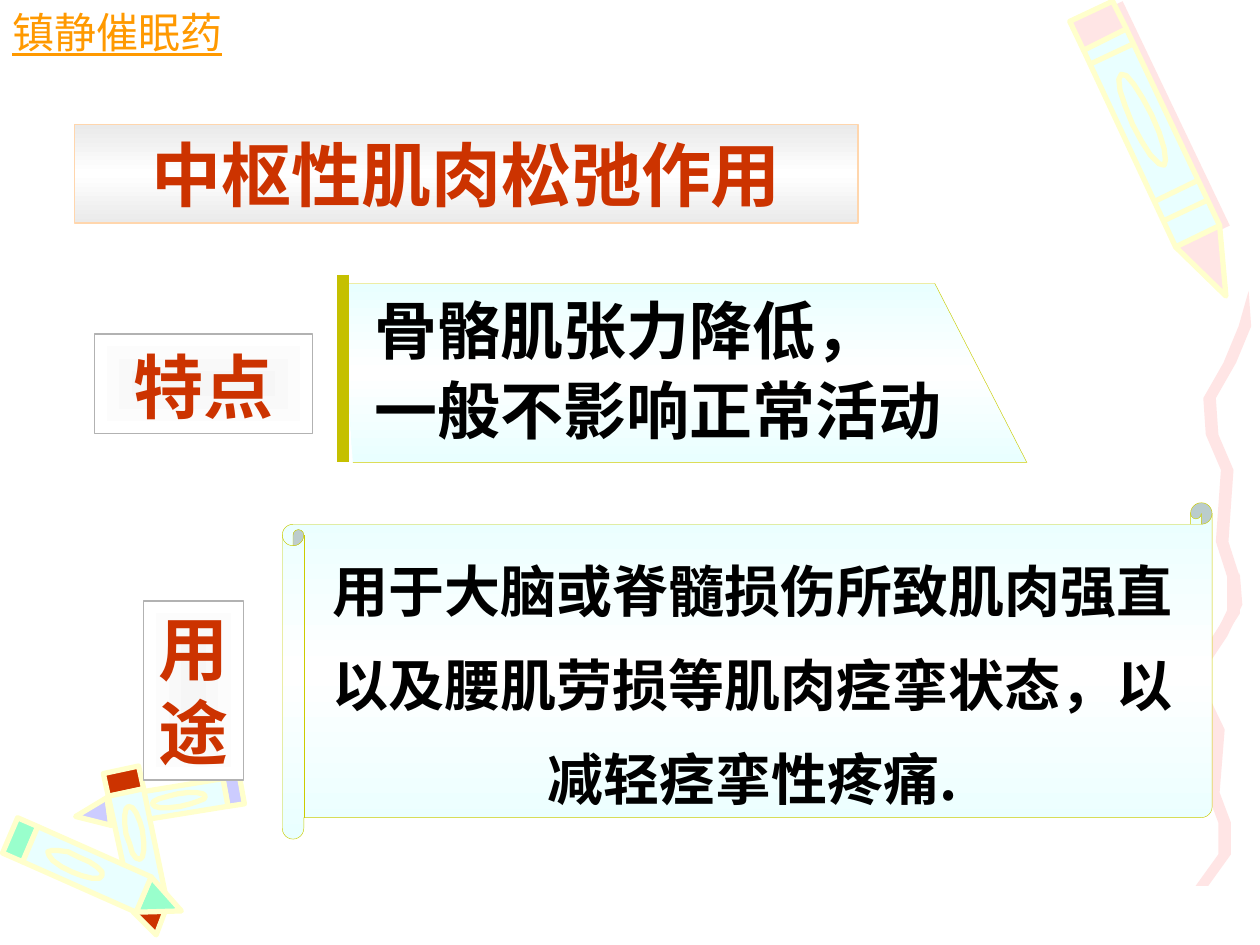
from dataclasses import dataclass
from math import cos, hypot, pi, sin
from typing import Optional

from lxml.etree import SubElement
from pptx import Presentation
from pptx.dml.color import RGBColor
from pptx.enum.shapes import MSO_CONNECTOR as Connector, MSO_SHAPE as Preset
from pptx.enum.text import MSO_ANCHOR as Anchor, PP_ALIGN as Align
from pptx.oxml import parse_xml
from pptx.oxml.ns import nsdecls, qn
from pptx.util import Pt

EMU_PER_PX = 9144
SANS = "Noto Sans CJK SC"
MONO = "Courier New"

BLACK = RGBColor(0x00, 0x00, 0x00)
WHITE = RGBColor(0xFF, 0xFF, 0xFF)
RED = RGBColor(0xCC, 0x33, 0x00)
ORANGE = RGBColor(0xFF, 0x99, 0x00)
PEACH = RGBColor(0xFF, 0xD6, 0xAD)
OLIVE = RGBColor(0xC5, 0xC0, 0x00)
LIME = RGBColor(0xCC, 0xCC, 0x00)
GRAY = RGBColor(0xB2, 0xB2, 0xB2)
SILVER = RGBColor(0xEA, 0xEA, 0xEA)
PEARL = RGBColor(0xF6, 0xF6, 0xF6)
PINK = RGBColor(0xFF, 0xE5, 0xE5)
AQUA = RGBColor(0xE9, 0xFF, 0xFF)
CREAM = RGBColor(0xFF, 0xFF, 0xCC)
LILAC = RGBColor(0xCC, 0xCC, 0xFF)
MINT = RGBColor(0x99, 0xFF, 0xCC)

Point = tuple[int, int]
Box = tuple[int, int, int, int]


@dataclass(frozen=True)
class Pencil:
    end: Point
    tip: Point
    half_width: int
    accent: RGBColor
    collar: float
    shoulder: float
    bands: tuple[float, ...] = ()
    shadow_shift: int = 0

    def at(self, along: float, across: float) -> Point:
        run, rise = self.tip[0] - self.end[0], self.tip[1] - self.end[1]
        offset = across * self.half_width / hypot(run, rise)
        return (round(self.end[0] + along * run + offset * rise),
                round(self.end[1] + along * rise - offset * run))

    def section(self, start: float, stop: float) -> list[Point]:
        return [self.at(start, -1), self.at(start, 1), self.at(stop, 1), self.at(stop, -1)]

    def cone(self) -> list[Point]:
        return [self.at(self.shoulder, -1), self.at(self.shoulder, 1), self.at(1, 0)]

    def highlight(self) -> list[Point]:
        angles = [2 * pi * step / 16 for step in range(16)]
        return [self.at(0.38 + 0.16 * cos(angle), 0.45 * sin(angle)) for angle in angles]


@dataclass(frozen=True)
class Ribbon:
    left: int
    top: int
    height: int


@dataclass(frozen=True)
class TextStyle:
    size: int
    color: RGBColor
    font: str = SANS
    bold: bool = True
    underline: bool = False
    align: Align = Align.CENTER
    anchor: Anchor = Anchor.MIDDLE
    spacing: Optional[float] = None
    space_before: float = 0
    wrap: bool = True


@dataclass(frozen=True)
class Panel:
    preset: Preset
    box: Box
    edge: RGBColor
    edge_width: float
    tint: RGBColor
    radial: bool
    text: str
    style: TextStyle


LYING_PENCIL = Pencil((192, 627), (60, 648), 11, LILAC, 0.1, 0.8)
UPRIGHT_PENCIL = Pencil((96, 611), (124, 742), 14, RED, 0.14, 0.84)
FRONT_PENCIL = Pencil((8, 663), (144, 723), 15, MINT, 0.12, 0.78)
LARGE_PENCIL = Pencil((866, 9), (973, 235), 19, PINK, 0.1, 0.79, (0.15, 0.63, 0.7), 8)
RIBBONS = [Ribbon(953, 455, 248), Ribbon(960, 231, 284)]
RIBBON_SWAY = (31, 28, 16, 0, 2, 14, 12, 10, 19, 19, 1)
RIBBON_HALF_WIDTH = 5

LABEL = TextStyle(40, RED, anchor=Anchor.BOTTOM)
HEADING = TextStyle(40, RED, MONO)
BODY = TextStyle(36, BLACK, align=Align.LEFT, anchor=Anchor.TOP, spacing=0.9, space_before=7.2)
TOPIC = TextStyle(24, ORANGE, MONO, bold=False, underline=True, align=Align.LEFT, anchor=Anchor.TOP, wrap=False)
USAGE = TextStyle(32, BLACK, spacing=1.4)

PANELS = [
    Panel(Preset.RECTANGLE, (59, 99, 622, 78), PEACH, 0.75, SILVER, False, "中枢性肌肉松弛作用", HEADING),
    Panel(Preset.RECTANGLE, (75, 265, 173, 79), GRAY, 0.75, PEARL, True, "特点", LABEL),
    Panel(Preset.RECTANGLE, (114, 477, 79, 142), GRAY, 0.75, PEARL, True, "用途", LABEL),
    Panel(Preset.HORIZONTAL_SCROLL, (224, 399, 738, 267), LIME, 0.25, AQUA, False,
          "用于大脑或脊髓损伤所致肌肉强直以及腰肌劳损等肌肉痉挛状态，以减轻痉挛性疼痛.", USAGE),
]


def px(*lengths: int) -> list[int]:
    return [length * EMU_PER_PX for length in lengths]


def draw_outline(slide, points: list[Point], close: bool = True):
    builder = slide.shapes.build_freeform(*points[0], scale=EMU_PER_PX)
    builder.add_line_segments(points[1:], close=close)
    shape = builder.convert_to_shape()
    shape.shadow.inherit = False
    return shape


def draw_patch(slide, points: list[Point], fill: RGBColor, edge: Optional[RGBColor] = None) -> None:
    shape = draw_outline(slide, points)
    shape.fill.solid()
    shape.fill.fore_color.rgb = fill
    if edge is None:
        shape.line.fill.background()
    else:
        shape.line.color.rgb = edge
        shape.line.width = Pt(3)


def draw_line(slide, start: Point, stop: Point, color: RGBColor, width: float) -> None:
    line = slide.shapes.add_connector(Connector.STRAIGHT, *px(*start, *stop))
    line.line.color.rgb = color
    line.line.width = Pt(width)
    SubElement(line._element.spPr, qn("a:effectLst"))


def draw_pencil(slide, pencil: Pencil) -> None:
    if pencil.shadow_shift:
        shadow = pencil.section(0, pencil.shoulder)
        draw_patch(slide, [(x + pencil.shadow_shift, y) for x, y in shadow], PINK)
    draw_patch(slide, pencil.cone(), pencil.accent, CREAM)
    draw_patch(slide, pencil.section(0, pencil.collar), pencil.accent, CREAM)
    draw_patch(slide, pencil.section(pencil.collar, pencil.shoulder), AQUA, CREAM)
    draw_patch(slide, pencil.highlight(), AQUA, CREAM)
    for band in pencil.bands:
        draw_line(slide, pencil.at(band, -1), pencil.at(band, 1), CREAM, 3)


def draw_ribbon(slide, ribbon: Ribbon) -> None:
    last = len(RIBBON_SWAY) - 1
    center = [(ribbon.left + sway, ribbon.top + round(ribbon.height * step / last))
              for step, sway in enumerate(RIBBON_SWAY)]
    right = [(x + RIBBON_HALF_WIDTH, y) for x, y in center[1:]]
    left = [(x - RIBBON_HALF_WIDTH, y) for x, y in center[1:]]
    draw_patch(slide, [center[0], *right, *reversed(left)], PINK)


def paint(shape, tint: RGBColor, radial: bool, edge: RGBColor, edge_width: float) -> None:
    stops = [(0, tint), (100, WHITE)] if radial else [(0, tint), (50, WHITE), (100, tint)]
    stop_xml = "".join(f'<a:gs pos="{at * 1000}"><a:srgbClr val="{color}"/></a:gs>' for at, color in stops)
    center = '<a:fillToRect l="50000" t="50000" r="50000" b="50000"/>'
    shading = f'<a:path path="shape">{center}</a:path>' if radial else '<a:lin ang="5400000" scaled="1"/>'
    shape.fill.gradient()
    properties = shape._element.spPr
    properties.replace(properties.find(qn("a:gradFill")), parse_xml(
        f'<a:gradFill {nsdecls("a")} rotWithShape="1"><a:gsLst>{stop_xml}</a:gsLst>{shading}</a:gradFill>'))
    shape.line.color.rgb = edge
    shape.line.width = Pt(edge_width)


def write(shape, text: str, style: TextStyle) -> None:
    frame = shape.text_frame
    frame.word_wrap = style.wrap
    frame.vertical_anchor = style.anchor
    frame.text = text
    for index, paragraph in enumerate(frame.paragraphs):
        paragraph.alignment = style.align
        paragraph.line_spacing = style.spacing
        paragraph.space_before = Pt(style.space_before if index else 0)
        font = paragraph.font
        font.name, font.size, font.bold = style.font, Pt(style.size), style.bold
        font.underline = style.underline
        font.color.rgb = style.color


def draw_panel(slide, panel: Panel) -> None:
    shape = slide.shapes.add_shape(panel.preset, *px(*panel.box))
    shape.shadow.inherit = False
    if panel.preset == Preset.HORIZONTAL_SCROLL:
        shape.adjustments[0] = 0.064
    paint(shape, panel.tint, panel.radial, panel.edge, panel.edge_width)
    write(shape, panel.text, panel.style)


def main() -> None:
    presentation = Presentation()
    presentation.slide_width, presentation.slide_height = px(1000, 750)
    slide = presentation.slides.add_slide(presentation.slide_layouts[6])
    for pencil in (LYING_PENCIL, UPRIGHT_PENCIL, FRONT_PENCIL, LARGE_PENCIL):
        draw_pencil(slide, pencil)
    for ribbon in RIBBONS:
        draw_ribbon(slide, ribbon)
    feature_card = draw_outline(slide, [(272, 225), (742, 225), (815, 367), (280, 367)], close=False)
    paint(feature_card, AQUA, False, LIME, 0.25)
    write(slide.shapes.add_textbox(*px(287, 233, 515, 126)), "骨骼肌张力降低，\n一般不影响正常活动", BODY)
    write(slide.shapes.add_textbox(*px(0, 0, 187, 50)), "镇静催眠药", TOPIC)
    for panel in PANELS:
        draw_panel(slide, panel)
    draw_line(slide, (272, 218), (272, 367), OLIVE, 7)
    presentation.save("out.pptx")


if __name__ == "__main__":
    main()
